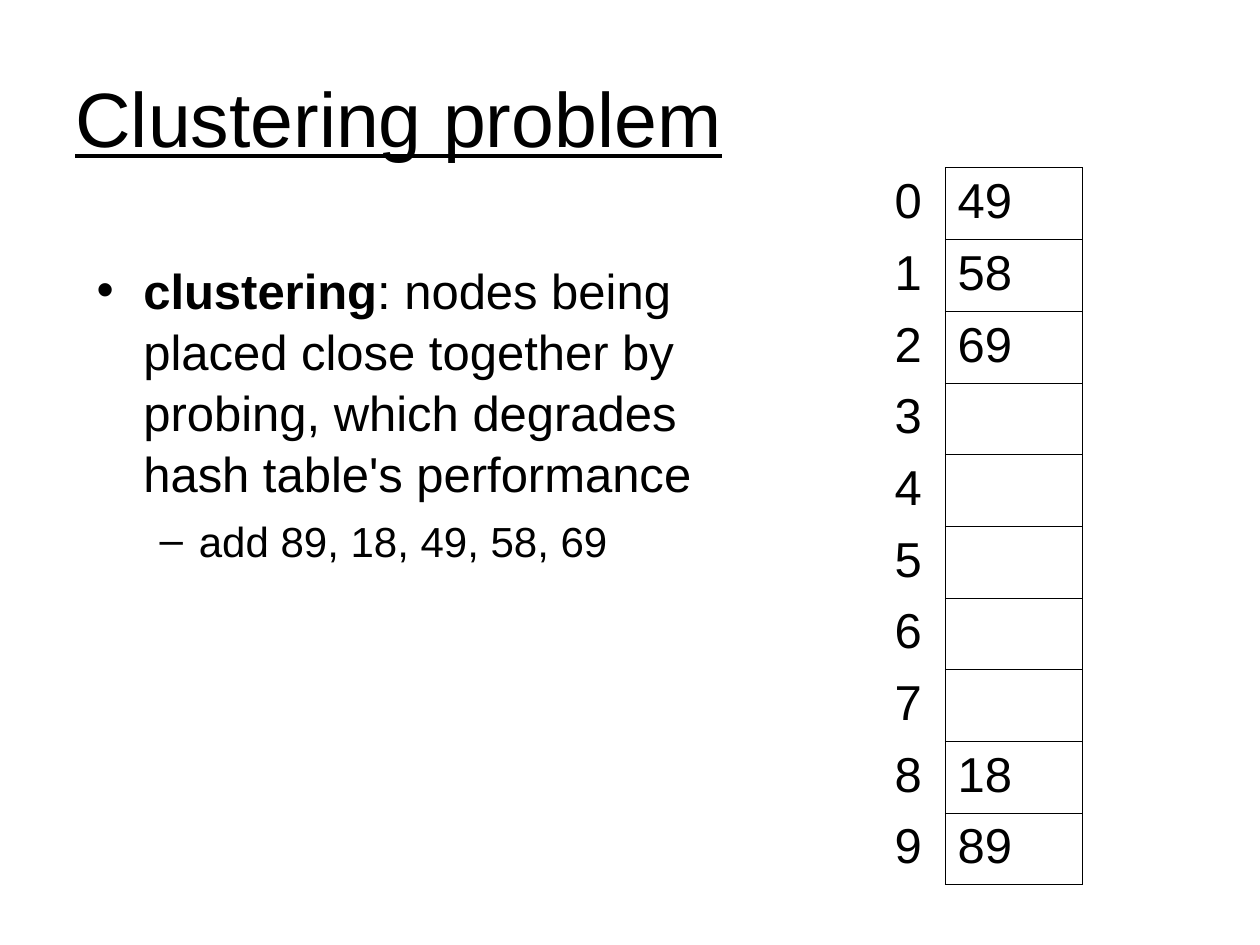
from lxml import etree
from pptx import Presentation
from pptx.dml.color import RGBColor
from pptx.enum.text import MSO_ANCHOR
from pptx.oxml.ns import qn
from pptx.util import Cm, Pt

MIDDLE, TOP = MSO_ANCHOR.MIDDLE, MSO_ANCHOR.TOP
FONT, BLACK = "Arial", "000000"
THIN, THICK = 0.11, 0.23

TITLE = "Clustering problem"
# bullet, left indent and hanging indent in cm, size, space before, line spacing, spans (text, bold)
POINTS = [
    ("•", 0.94, 0.94, 28, 7, 1.04, [
        ("clustering", True),
        (": nodes being placed close together by probing, "
         "which degrades hash table's performance", False)]),
    ("–", 2.06, 0.79, 24, 6, 1.04, [("add 89, 18, 49, 58, 69", False)]),
]
SLOTS = ["49", "58", "69", "", "", "", "", "", "18", "89"]
COLUMN_WIDTHS = (1.27, 2.77)
ROW_HEIGHT = 1.445


def color(value):
    return RGBColor.from_string(value)


def add_span(para, text, size=28, bold=False, underline=False):
    span = para.add_run()
    span.text = text
    font = span.font
    font.name, font.size, font.bold, font.underline = FONT, Pt(size), bold, underline
    font.color.rgb = color(BLACK)


def add_box(page, left, top, width, height, anchor=TOP):
    frame = page.shapes.add_textbox(Cm(left), Cm(top), Cm(width), Cm(height)).text_frame
    frame.word_wrap = True
    frame.vertical_anchor = anchor
    return frame


def set_bullet(para, mark, indent, hanging):
    properties = para._p.get_or_add_pPr()
    properties.set("marL", str(Cm(indent)))
    properties.set("indent", str(-Cm(hanging)))
    etree.SubElement(properties, qn("a:buFont"), typeface=FONT)
    etree.SubElement(properties, qn("a:buChar"), char=mark)


def set_borders(cell, left=0, right=0, top=0, bottom=0):
    """Draw each side at its width in points; a width of 0 hides the side."""
    properties = cell._tc.get_or_add_tcPr()
    for side, width in (("L", left), ("R", right), ("T", top), ("B", bottom)):
        line = etree.SubElement(properties, qn(f"a:ln{side}"), w=str(Pt(width)))
        if width:
            fill = etree.SubElement(line, qn("a:solidFill"))
            etree.SubElement(fill, qn("a:srgbClr"), val=BLACK)
        else:
            etree.SubElement(line, qn("a:noFill"))


def fill_cell(cell, text):
    cell.fill.background()
    cell.vertical_anchor = MIDDLE
    if text:
        para = cell.text_frame.paragraphs[0]
        para.line_spacing = 0.93
        para.space_before = Pt(7)
        add_span(para, text)


def add_hash_table(page):
    count = len(SLOTS)
    table = page.shapes.add_table(count, 2, Cm(17.78), Cm(3.38), Cm(sum(COLUMN_WIDTHS)),
                                  Cm(ROW_HEIGHT * count)).table
    table.first_row = table.horz_banding = False
    for column, width in zip(table.columns, COLUMN_WIDTHS):
        column.width = Cm(width)
    for index, value in enumerate(SLOTS):
        table.rows[index].height = Cm(ROW_HEIGHT)
        label, slot = table.cell(index, 0), table.cell(index, 1)
        set_borders(label, right=THIN)
        set_borders(slot, left=THIN, right=THICK,
                    top=THICK if index == 0 else THIN,
                    bottom=THICK if index == count - 1 else THIN)
        fill_cell(label, str(index))
        fill_cell(slot, value)


def main():
    deck = Presentation()
    deck.slide_width, deck.slide_height = Cm(25.4), Cm(19.05)
    page = deck.slides.add_slide(deck.slide_layouts[6])

    title = add_box(page, 1.27, 0.76, 22.86, 3.18, MIDDLE)
    add_span(title.paragraphs[0], TITLE, size=44, underline=True)

    body = add_box(page, 1.7, 5.08, 13.13, 12.57)
    for number, (mark, indent, hanging, size, before, spacing, spans) in enumerate(POINTS):
        para = body.add_paragraph() if number else body.paragraphs[0]
        para.level = number
        para.space_before = Pt(before)
        para.line_spacing = spacing
        set_bullet(para, mark, indent, hanging)
        for text, bold in spans:
            add_span(para, text, size=size, bold=bold)

    add_hash_table(page)
    deck.save("out.pptx")


if __name__ == "__main__":
    main()
